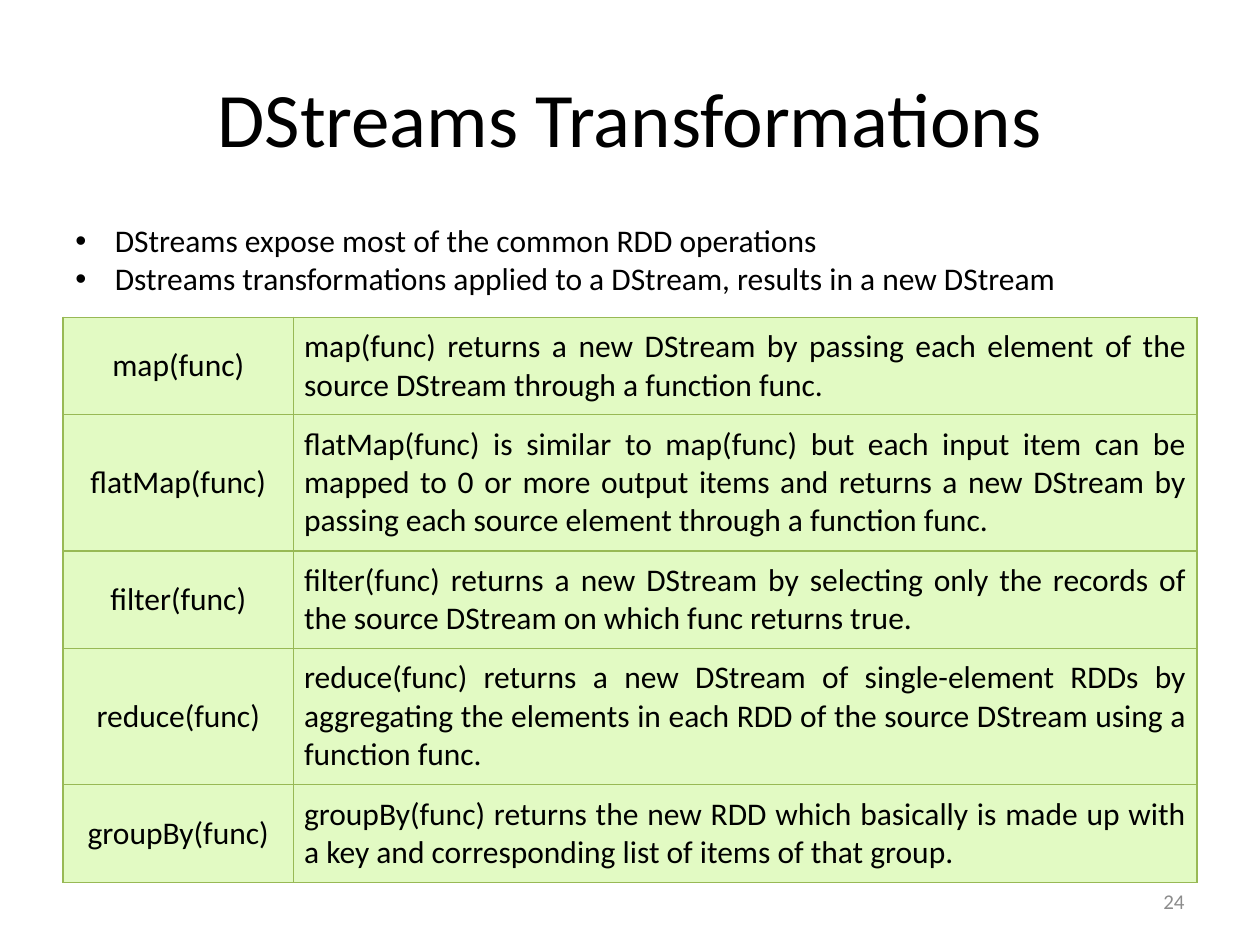
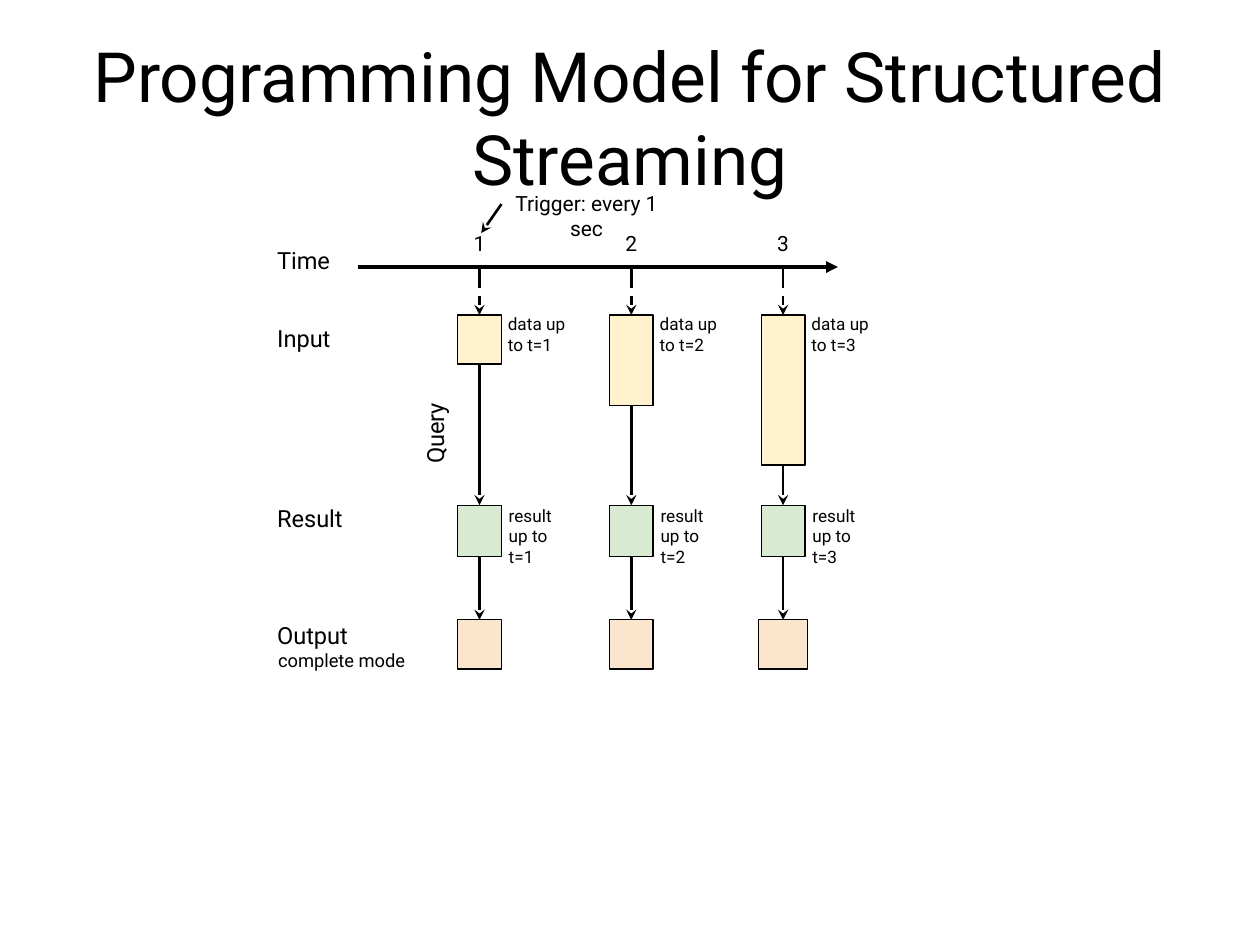
from lxml import etree
from pptx import Presentation
from pptx import util as u
from pptx.dml.color import RGBColor
from pptx.enum import dml, shapes, text
from pptx.oxml.ns import qn

BLACK, GREY = "000000", "8C8C8C"
TABLE_FILL, TABLE_LINE = "E2FAC3", "98B955"
INPUT_FILL, RESULT_FILL, OUTPUT_FILL = "FFF2CC", "D9EAD3", "FCE5CD"
LEFT, CENTER = text.PP_ALIGN.LEFT, text.PP_ALIGN.CENTER
TOP, MIDDLE = text.MSO_ANCHOR.TOP, text.MSO_ANCHOR.MIDDLE
STANDARD = (7.2, 3.6)
TIGHT = (5, 5)


def ink(hex_value):
    return RGBColor.from_string(hex_value)


def write(frame, words, size=18, font="Calibri", color=BLACK, align=LEFT,
          anchor=TOP, inset=STANDARD, bullet=None):
    """Fill a text frame, one paragraph for each line of words."""
    frame.word_wrap = True
    frame.vertical_anchor = anchor
    frame.margin_left = frame.margin_right = u.Pt(inset[0])
    frame.margin_top = frame.margin_bottom = u.Pt(inset[1])
    for index, line in enumerate(words.split("\n")):
        para = frame.add_paragraph() if index else frame.paragraphs[0]
        para.alignment = align
        if bullet:
            properties = para._p.get_or_add_pPr()
            properties.set("marL", str(u.Pt(22.5)))
            properties.set("indent", str(-u.Pt(22.5)))
            etree.SubElement(properties, qn("a:buFont")).set("typeface", "Arial")
            etree.SubElement(properties, qn("a:buChar")).set("char", bullet)
        span = para.add_run()
        span.text = line
        span.font.name = font
        span.font.size = u.Pt(size)
        span.font.color.rgb = ink(color)


deck = Presentation()
deck.slide_width, deck.slide_height = u.Pt(720), u.Pt(540)

# Pages and their titles
pages = []
for title, size, font in [
    ("DStreams Transformations", 44, "Calibri"),
    ("Programming Model for Structured Streaming", 39.6, "Roboto"),
]:
    page = deck.slides.add_slide(deck.slide_layouts[6])
    box = page.shapes.add_textbox(u.Pt(36), u.Pt(21.6), u.Pt(648), u.Pt(90))
    write(box.text_frame, title, size=size, font=font, align=CENTER, anchor=MIDDLE)
    pages.append(page)
table_page, model_page = pages

# Slide 1: introduction and page number
box = table_page.shapes.add_textbox(u.Pt(36), u.Pt(123), u.Pt(615.6), u.Pt(51))
write(box.text_frame,
      "DStreams expose most of the common RDD operations\n"
      "Dstreams transformations applied to a DStream, results in a new DStream",
      bullet="•")
box = table_page.shapes.add_textbox(u.Pt(516), u.Pt(500.5), u.Pt(168), u.Pt(28.75))
write(box.text_frame, "24", size=12, color=GREY, align=text.PP_ALIGN.RIGHT, anchor=MIDDLE)

# Slide 1: table of transformations
transformations = [
    ("map(func)", 55.7,
     "map(func) returns a new DStream by passing each element of the source "
     "DStream through a function func."),
    ("flatMap(func)", 78,
     "flatMap(func) is similar to map(func) but each input item can be mapped to "
     "0 or more output items and returns a new DStream by passing each source "
     "element through a function func."),
    ("filter(func)", 55.7,
     "filter(func) returns a new DStream by selecting only the records of the "
     "source DStream on which func returns true."),
    ("reduce(func)", 78,
     "reduce(func) returns a new DStream of single-element RDDs by aggregating "
     "the elements in each RDD of the source DStream using a function func."),
    ("groupBy(func)", 55.7,
     "groupBy(func) returns the new RDD which basically is made up with a key "
     "and corresponding list of items of that group."),
]
table = table_page.shapes.add_table(
    len(transformations), 2, u.Pt(36), u.Pt(181.2), u.Pt(648), u.Pt(323.1)).table
table.first_row = table.horz_banding = False
table.columns[0].width, table.columns[1].width = u.Pt(131.8), u.Pt(516.2)
for row, (name, height, meaning) in enumerate(transformations):
    table.rows[row].height = u.Pt(height)
    for column, (words, align) in enumerate(
            [(name, CENTER), (meaning, text.PP_ALIGN.JUSTIFY)]):
        cell = table.cell(row, column)
        write(cell.text_frame, words, align=align)
        cell.vertical_anchor = MIDDLE
        cell.margin_left = cell.margin_right = u.Pt(6)
        cell.margin_top = cell.margin_bottom = u.Pt(6)
        cell.fill.solid()
        cell.fill.fore_color.rgb = ink(TABLE_FILL)
        properties = cell._tc.get_or_add_tcPr()
        for place, side in enumerate(["a:lnL", "a:lnR", "a:lnT", "a:lnB"]):
            border = etree.Element(qn(side), w=str(u.Pt(0.75)))
            paint = etree.SubElement(border, qn("a:solidFill"))
            etree.SubElement(paint, qn("a:srgbClr")).set("val", TABLE_LINE)
            properties.insert(place, border)

# Slide 2: row labels, trigger and query: words, place, size, alignment
labels = [
    ("Time", (153.4, 135.4, 66, 33), 13.5, LEFT),
    ("Input", (153.4, 180, 73.4, 33), 13.5, LEFT),
    ("Result", (153.4, 283, 73.4, 33), 13.5, LEFT),
    ("Output", (153.4, 350, 73.4, 33), 13.5, LEFT),
    ("complete mode", (154, 365.8, 103, 60), 10.5, LEFT),
    ("Trigger: every 1 sec", (280.8, 103.7, 108.7, 21.6), 12, CENTER),
]
box = model_page.shapes.add_textbox(u.Pt(227.5), u.Pt(235.4), u.Pt(41.8), u.Pt(24.5))
box.rotation = 270
write(box.text_frame, "Query", size=13.5, font="Roboto", align=CENTER,
      anchor=MIDDLE, inset=(0, 5))

# Slide 2: one column of boxes for each time step
AXIS_TOP, INPUT_TOP, RESULT_TOP, OUTPUT_TOP = 152.6, 180, 288.7, 354.2
arrows = [  # start, end, width, head, dash, shape at start, shape at end
    ((286.6, 116.6), (275, 133.2), 1.5, "stealth", None, None, None),
    ((204.5, AXIS_TOP), (478.8, AXIS_TOP), 2.25, "triangle", None, None, None),
]
for step, (input_height, output_width) in enumerate([(28, 25), (51.8, 25), (85.7, 28)]):
    center = 274 + 86.75 * step
    time = step + 1
    labels += [
        (f"{time}", (center - 12.5, 127, 25, 27.4), 12, CENTER),
        (f"data up\nto t={time}", (center + 11.2, 174.2, 46.8, 20), 9.8, LEFT),
        (f"result up to t={time}", (center + 11.7, 283.7, 46.8, 20), 9.8, LEFT),
    ]
    stack = []
    for top, width, height, fill in [
        (INPUT_TOP, 25, input_height, INPUT_FILL),
        (RESULT_TOP, 25, 29.5, RESULT_FILL),
        (OUTPUT_TOP, output_width, 28.1, OUTPUT_FILL),
    ]:
        block = model_page.shapes.add_shape(
            shapes.MSO_SHAPE.RECTANGLE, u.Pt(center - width / 2), u.Pt(top),
            u.Pt(width), u.Pt(height))
        block.shadow.inherit = False
        block.fill.solid()
        block.fill.fore_color.rgb = ink(fill)
        block.line.color.rgb = ink(BLACK)
        block.line.width = u.Pt(0.75)
        stack.append(block)
    source, result, output = stack
    arrows += [
        ((center, AXIS_TOP), (center, INPUT_TOP), 1.5, "stealth",
         dml.MSO_LINE.LONG_DASH, None, source),
        ((center, INPUT_TOP + input_height), (center, RESULT_TOP), 1.5, "stealth",
         None, source, result),
        ((center, RESULT_TOP + 29.5), (center, OUTPUT_TOP), 1.5, "stealth",
         None, result, output),
    ]

# Slide 2: draw the arrows
for start, end, width, head, dash, source, target in arrows:
    arrow = model_page.shapes.add_connector(
        shapes.MSO_CONNECTOR.STRAIGHT, *[u.Pt(value) for value in start + end])
    if source:
        arrow.begin_connect(source, 2)
    if target:
        arrow.end_connect(target, 0)
    arrow.line.color.rgb = ink(BLACK)
    arrow.line.width = u.Pt(width)
    if dash:
        arrow.line.dash_style = dash
    properties = arrow.element.spPr
    etree.SubElement(properties.find(qn("a:ln")), qn("a:tailEnd")).set("type", head)
    etree.SubElement(properties, qn("a:effectLst"))

# Slide 2: write the labels
for words, place, size, align in labels:
    box = model_page.shapes.add_textbox(*[u.Pt(value) for value in place])
    write(box.text_frame, words, size=size, font="Roboto", align=align, inset=TIGHT)

deck.save("out.pptx")
